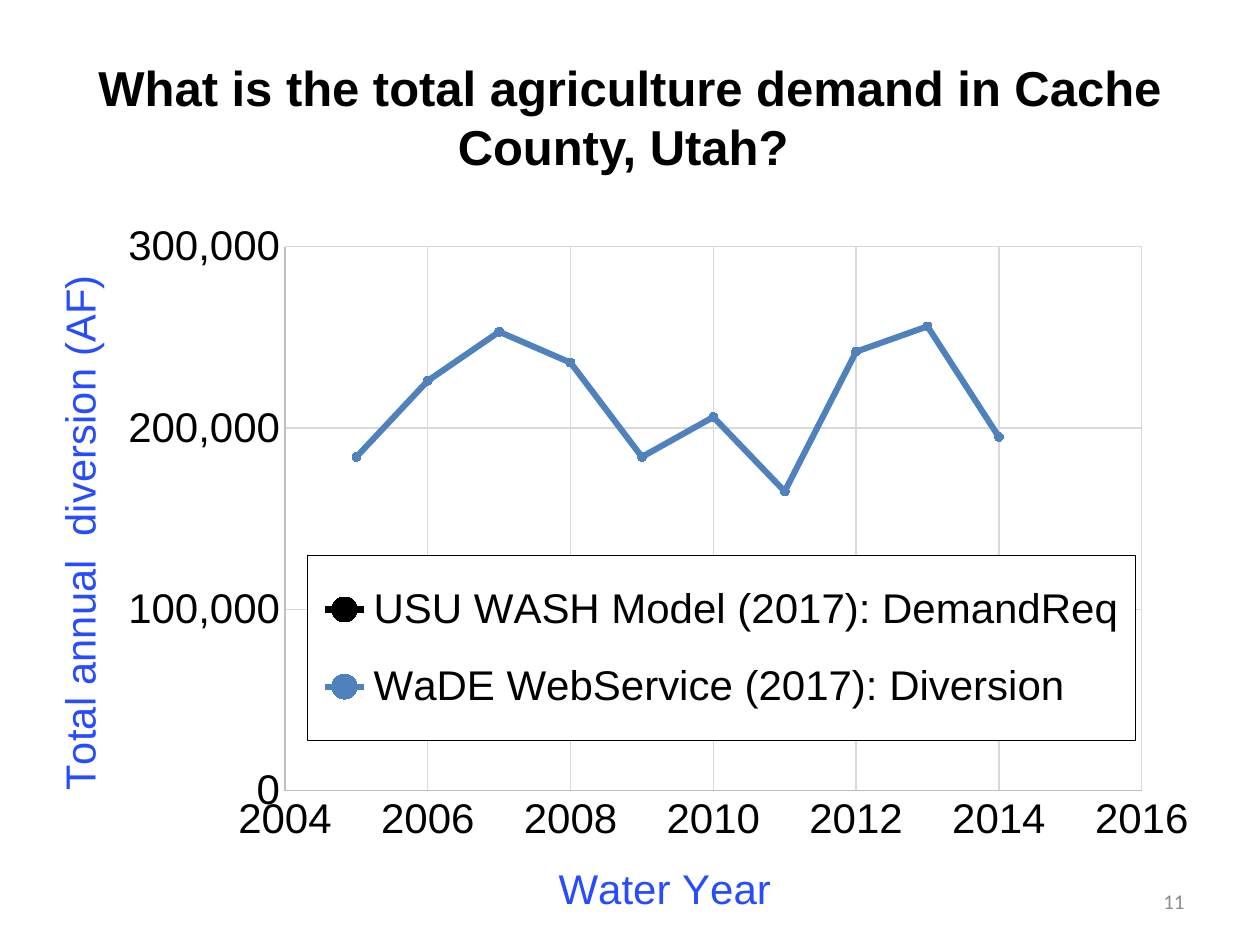
import pptx
import pptx.chart.data
import pptx.dml.color
import pptx.enum.chart
import pptx.enum.text
import pptx.oxml
import pptx.util

WIDTH, HEIGHT = 10, 7.5
NAMESPACES = (
    'xmlns:c="http://schemas.openxmlformats.org/drawingml/2006/chart" '
    'xmlns:a="http://schemas.openxmlformats.org/drawingml/2006/main"'
)
BLACK, BLUE, TITLE_BLUE = "000000", "4F81BD", "274CFF"
AXIS_GREY, GRID_GREY, NUMBER_GREY = "BFBFBF", "D9D9D9", "8C8C8C"
DIVERSIONS = [184000, 226000, 253000, 236000, 184000,
              206000, 165000, 242000, 256000, 195000]
SERIES = [
    ("USU WASH Model (2017): DemandReq", BLACK, [(2000, 275000)] * 6),
    ("WaDE WebService (2017): Diversion", BLUE, list(enumerate(DIVERSIONS, 2005))),
]


def color(value):
    """Turn a hex string into a colour."""
    return pptx.dml.color.RGBColor.from_string(value)


def inches(box):
    """Turn a box in inches into slide lengths."""
    return [pptx.util.Inches(length) for length in box]


def style_font(font, size, hue, name="Arial", bold=False):
    """Set the look of a font."""
    font.size, font.name, font.bold = pptx.util.Pt(size), name, bold
    font.color.rgb = color(hue)


def style_line(line, hue, width):
    """Set the colour and width of a line."""
    line.color.rgb = color(hue)
    line.width = pptx.util.Pt(width)


def add_text(slide, box, wording, align, **look):
    """Place one wrapped, vertically centred line of text in a box."""
    frame = slide.shapes.add_textbox(*inches(box)).text_frame
    frame.word_wrap = True
    frame.vertical_anchor = pptx.enum.text.MSO_ANCHOR.MIDDLE
    paragraph = frame.paragraphs[0]
    paragraph.alignment = align
    run = paragraph.add_run()
    run.text = wording
    style_font(run.font, **look)


def set_layout(part, index, inner=False, **shares):
    """Fix a chart part at shares of the chart's size."""
    for layout in part.xpath("./c:layout"):
        part.remove(layout)
    target = '<c:layoutTarget val="inner"/>' if inner else ""
    modes = '<c:xMode val="edge"/><c:yMode val="edge"/>'
    sizes = "".join(f'<c:{key} val="{share}"/>' for key, share in shares.items())
    part.insert(index, pptx.oxml.parse_xml(
        f"<c:layout {NAMESPACES}><c:manualLayout>{target}{modes}{sizes}"
        "</c:manualLayout></c:layout>"))


def style_axis(axis, wording, low, high, step, number_format, x, y):
    """Set the scale, lines, labels and title of an axis."""
    axis.minimum_scale, axis.maximum_scale, axis.major_unit = low, high, step
    axis.major_tick_mark = axis.minor_tick_mark = pptx.enum.chart.XL_TICK_MARK.NONE
    axis.has_major_gridlines = True
    style_line(axis.major_gridlines.format.line, GRID_GREY, 0.75)
    style_line(axis.format.line, AXIS_GREY, 0.75)
    style_font(axis.tick_labels.font, 24, BLACK)
    axis.tick_labels.number_format = number_format
    axis.tick_labels.number_format_is_linked = False
    run = axis.axis_title.text_frame.paragraphs[0].add_run()
    run.text = wording
    style_font(run.font, 24, TITLE_BLUE)
    set_layout(axis.axis_title.element if hasattr(axis.axis_title, "element")
               else axis.axis_title._element, 1, x=x, y=y)


def style_legend(chart):
    """Place the framed legend over the lower part of the plot."""
    chart.has_legend = True
    chart.legend.position = pptx.enum.chart.XL_LEGEND_POSITION.TOP
    chart.legend.include_in_layout = False
    legend = chart.element.xpath(".//c:legend")[0]
    set_layout(legend, 1, x=0.243, y=0.483, w=0.704, h=0.264)
    legend.append(pptx.oxml.parse_xml(
        f'<c:spPr {NAMESPACES}><a:solidFill><a:srgbClr val="FFFFFF"/></a:solidFill>'
        f'<a:ln w="9525"><a:solidFill><a:srgbClr val="{BLACK}"/></a:solidFill></a:ln>'
        "</c:spPr>"))
    style_font(chart.legend.font, 24, BLACK)


def add_demand_chart(slide, box):
    """Chart the yearly diversions in a box."""
    data = pptx.chart.data.XyChartData()
    for name, _, points in SERIES:
        entry = data.add_series(name)
        for year, volume in points:
            entry.add_data_point(year, volume)
    chart = slide.shapes.add_chart(
        pptx.enum.chart.XL_CHART_TYPE.XY_SCATTER_LINES, *inches(box), data).chart
    chart.has_title = False
    style_font(chart.font, 24, BLACK)
    plot = chart.plots[0]
    plot.vary_by_categories = False
    for series, (_, hue, _) in zip(plot.series, SERIES):
        series.smooth = False
        style_line(series.format.line, hue, 3.5)
        series.marker.style = pptx.enum.chart.XL_MARKER_STYLE.CIRCLE
        series.marker.size = 5
        series.marker.format.fill.solid()
        series.marker.format.fill.fore_color.rgb = color(hue)
        style_line(series.marker.format.line, hue, 0.75)
    style_axis(chart.category_axis, "Water Year", 2004, 2016, 2, "General", 0.45, 0.91)
    style_axis(chart.value_axis, "Total annual  diversion (AF)",
               0, 300000, 100000, "#,##0", 0.02, 0.08)
    set_layout(chart.element.xpath(".//c:plotArea")[0], 0, inner=True,
               x=0.224, y=0.041, w=0.728, h=0.778)
    style_legend(chart)


def build_slide(deck):
    """Lay out the title, the chart and the slide number."""
    slide = deck.slides.add_slide(deck.slide_layouts[6])
    align = pptx.enum.text.PP_ALIGN
    add_text(slide, (0.05 * WIDTH, 0.04 * HEIGHT, 0.9 * WIDTH, 1.25),
             "What is the total agriculture demand in Cache County, Utah? ",
             align.CENTER, size=28, hue=BLACK, bold=True)
    add_text(slide, (7.17, 6.95, 2.33, 0.4), "11",
             align.RIGHT, size=12, hue=NUMBER_GREY, name="Calibri")
    add_demand_chart(slide, (0.17, 1.73, 9.34, 5.62))


def main():
    """Build and save the deck."""
    deck = pptx.Presentation()
    deck.slide_width, deck.slide_height = inches((WIDTH, HEIGHT))
    build_slide(deck)
    deck.save("out.pptx")


if __name__ == "__main__":
    main()
